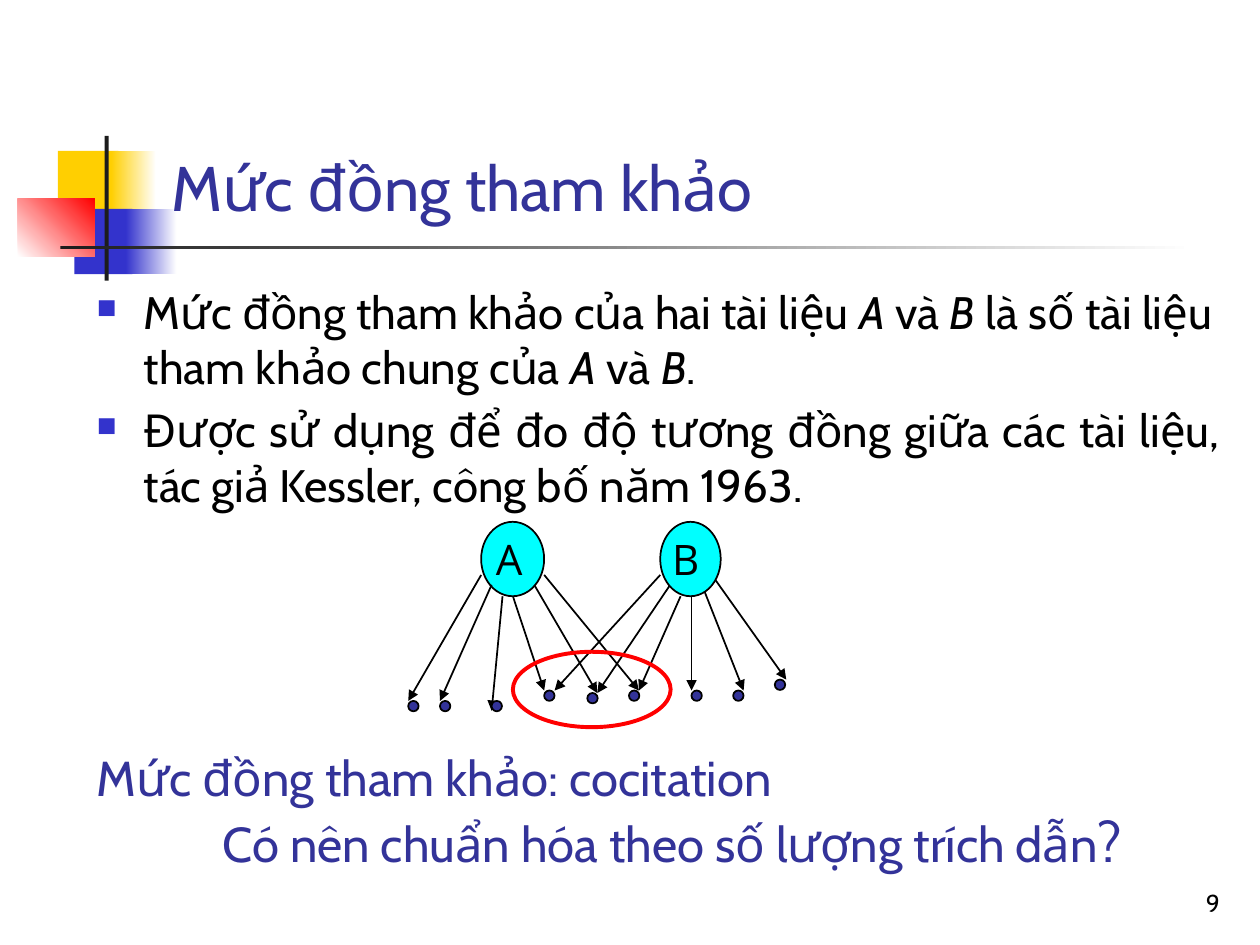
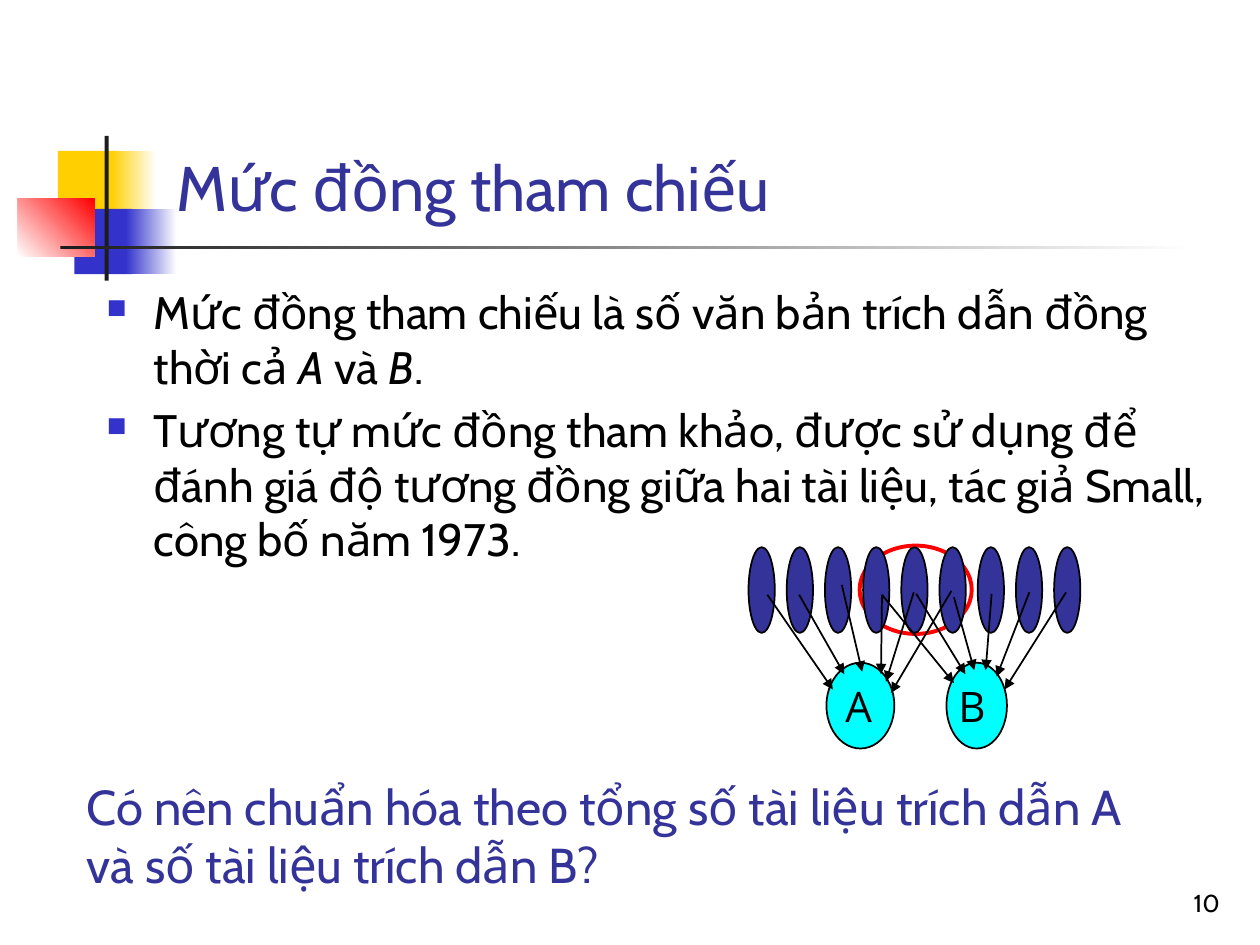
import pptx
import pptx.util
import pptx.dml.color
import pptx.enum.shapes
import pptx.enum.text
import pptx.oxml.ns
from lxml import etree

Cm, Pt = pptx.util.Cm, pptx.util.Pt
RGB = pptx.dml.color.RGBColor
SHAPE = pptx.enum.shapes.MSO_SHAPE
ALIGN = pptx.enum.text.PP_ALIGN
ANCHOR = pptx.enum.text.MSO_ANCHOR
qn = pptx.oxml.ns.qn

BLACK = RGB(0x00, 0x00, 0x00)
WHITE = RGB(0xFF, 0xFF, 0xFF)
INDIGO = RGB(0x33, 0x33, 0x99)
BLUE = RGB(0x33, 0x33, 0xCC)
YELLOW = RGB(0xFF, 0xCF, 0x01)
RED = RGB(0xFF, 0x00, 0x00)
CYAN = RGB(0x00, 0xFF, 0xFF)
CHARCOAL = RGB(0x1C, 0x1C, 0x1C)

TEXT_FONT = "Cabin"
NODE_FONT = "Open Sans"


# Basic parts
def add_shape(shapes, kind, box, fill=None, line=None, width=1):
    sp = shapes.add_shape(kind, *map(Cm, box))
    sp.shadow.inherit = False
    if fill is None:
        sp.fill.background()
    else:
        sp.fill.solid()
        sp.fill.fore_color.rgb = fill
    if line is None:
        sp.line.fill.background()
    else:
        sp.line.color.rgb = line
        sp.line.width = Pt(width)
    return sp


def add_fade(shapes, box, start, end, angle=0):
    sp = add_shape(shapes, SHAPE.RECTANGLE, box)
    sp.fill.gradient()
    sp.fill.gradient_angle = angle
    for stop, color in zip(sp.fill.gradient_stops, (start, end)):
        stop.color.rgb = color


def style(r, size, color, font=TEXT_FONT, italic=None):
    r.font.name = font
    r.font.size = Pt(size)
    r.font.color.rgb = color
    r.font.italic = italic


def add_text(slide, box, lines, size, color, anchor=ANCHOR.TOP, align=None):
    """Write one paragraph per line; stars enclose italic words."""
    tf = slide.shapes.add_textbox(*map(Cm, box)).text_frame
    tf.word_wrap = True
    tf.vertical_anchor = anchor
    for i, line in enumerate(lines):
        p = tf.add_paragraph() if i else tf.paragraphs[0]
        p.alignment = align
        for j, words in enumerate(line.split("*")):
            if words:
                r = p.add_run()
                r.text = words
                style(r, size, color, italic=j % 2 == 1)
    return tf


def add_arrow(shapes, x, y, start, end):
    (x1, y1), (x2, y2) = start, end
    line = shapes.add_connector(
        pptx.enum.shapes.MSO_CONNECTOR.STRAIGHT,
        Cm(x + x1), Cm(y + y1), Cm(x + x2), Cm(y + y2))
    line.line.color.rgb = BLACK
    line.line.width = Pt(1)
    etree.SubElement(line.line._get_or_add_ln(), qn("a:tailEnd"), type="triangle")
    etree.SubElement(line._element.spPr, qn("a:effectLst"))


def add_node(shapes, box, name):
    sp = add_shape(shapes, SHAPE.OVAL, box, CYAN, BLACK)
    tf = sp.text_frame
    tf.word_wrap = False
    tf.vertical_anchor = ANCHOR.MIDDLE
    p = tf.paragraphs[0]
    p.text = name
    p.alignment = ALIGN.RIGHT
    style(p.runs[0], 24, BLACK, NODE_FONT)


# Regions shared by the slides
def draw_emblem(slide, x, y):
    shapes = slide.shapes
    add_shape(shapes, SHAPE.RECTANGLE, (x + 0.81, y + 0.3, 1.22, 1.32), YELLOW)
    add_fade(shapes, (x + 1.88, y + 0.3, 0.91, 1.32), YELLOW, WHITE)
    add_shape(shapes, SHAPE.RECTANGLE, (x + 1.14, y + 1.47, 1.17, 1.32), BLUE)
    add_fade(shapes, (x + 2.18, y + 1.47, 1.02, 1.32), BLUE, WHITE)
    add_fade(shapes, (x, y + 1.27, 1.55, 1.17), WHITE, RED, 45)
    add_shape(shapes, SHAPE.RECTANGLE, (x + 1.75, y, 0.08, 2.92), CHARCOAL)
    add_fade(shapes, (x + 0.86, y + 2.21, 22.86, 0.08), CHARCOAL, WHITE)


def draw_bullets(slide, box, lines):
    tf = add_text(slide, box, lines, 26, BLACK)
    for i, p in enumerate(tf.paragraphs):
        pPr = p._p.get_or_add_pPr()
        pPr.set("marL", str(Cm(0.95)))
        pPr.set("indent", str(-Cm(0.95)))
        color = etree.SubElement(pPr, qn("a:buClr"))
        etree.SubElement(color, qn("a:srgbClr"), val=str(BLUE))
        etree.SubElement(pPr, qn("a:buSzPct"), val="60000")
        etree.SubElement(pPr, qn("a:buChar"), char="■")
        if i:
            p.space_before = Pt(5)
    return tf


def draw_frame(prs, title, title_left, number):
    slide = prs.slides.add_slide(prs.slide_layouts[6])
    draw_emblem(slide, 0.36, 2.74)
    add_text(slide, (19.56, 17.35, 5.28, 1.27), [number], 14, BLACK,
             ANCHOR.BOTTOM, ALIGN.RIGHT)
    add_text(slide, (title_left, 0.58, 24.85 - title_left, 4.06), [title], 36,
             INDIGO, ANCHOR.BOTTOM)
    return slide


# Diagrams
def draw_shared_references(slide, x, y):
    """Documents A and B point down at their references."""
    shapes = slide.shapes.add_group_shape().shapes
    arrows = [
        # from A
        ((1.47, 1.07), (0, 3.61)), ((1.68, 1.27), (0.64, 3.61)),
        ((1.9, 1.5), (1.68, 3.81)), ((2.11, 1.5), (2.74, 3.4)),
        ((2.54, 1.27), (3.81, 3.45)), ((2.74, 1.07), (4.65, 3.4)),
        # from B
        ((5.08, 1.07), (2.95, 3.4)), ((5.28, 1.27), (3.81, 3.45)),
        ((5.49, 1.5), (4.65, 3.4)), ((5.71, 1.5), (5.71, 3.4)),
        ((5.92, 1.27), (6.76, 3.4)), ((6.12, 1.07), (7.62, 3.18)),
    ]
    references = [(0, 3.61), (0.64, 3.61), (1.68, 3.61), (2.74, 3.4), (3.61, 3.45),
                  (4.45, 3.4), (5.71, 3.4), (6.55, 3.4), (7.39, 3.18)]
    add_node(shapes, (x + 1.47, y, 1.27, 1.5), "A")
    for start, end in arrows:
        add_arrow(shapes, x, y, start, end)
    add_shape(shapes, SHAPE.OVAL, (x + 2.11, y + 2.62, 3.18, 1.52), None, RED, 2.25)
    add_node(shapes, (x + 5.08, y, 1.22, 1.5), "B")
    for dx, dy in references:
        add_shape(shapes, SHAPE.OVAL, (x + dx, y + dy, 0.21, 0.21), INDIGO, BLACK)


def draw_shared_citations(slide, x, y):
    """A row of citing documents points down at A and B."""
    shapes = slide.shapes.add_group_shape().shapes
    arrows = [
        # to A
        ((0.38, 0.99), (1.7, 2.9)), ((1.02, 0.99), (1.93, 2.59)),
        ((1.88, 0.79), (2.29, 2.54)), ((2.69, 0.99), (2.67, 2.59)),
        ((3.33, 0.94), (2.77, 2.74)), ((4.09, 0.91), (2.87, 2.97)),
        # to B
        ((2.69, 0.99), (4.14, 2.77)), ((3.38, 0.97), (4.37, 2.59)),
        ((4.14, 1.04), (4.55, 2.51)), ((4.9, 0.97), (4.78, 2.51)),
        ((5.66, 0.94), (5, 2.64)), ((6.4, 0.94), (5.16, 2.9)),
    ]
    add_node(shapes, (x + 1.57, y + 2.36, 1.37, 1.73), "A")
    add_node(shapes, (x + 3.99, y + 2.36, 1.22, 1.73), "B")
    add_shape(shapes, SHAPE.OVAL, (x + 2.24, y, 2.26, 1.78), None, RED, 2.25)
    for i in range(9):
        add_shape(shapes, SHAPE.OVAL, (x + 0.77 * i, y + 0.03, 0.53, 1.73),
                  INDIGO, BLACK)
    for start, end in arrows:
        add_arrow(shapes, x, y, start, end)


# Slides
def coupling_slide(prs):
    slide = draw_frame(prs, "Mức đồng tham khảo", 3.2, "9")
    tf = draw_bullets(slide, (1.7, 5.61, 23.16, 5.13), [
        "Mức đồng tham khảo của hai tài liệu *A *và *B* là số tài liệu "
        "tham khảo chung của *A* và *B*.",
        "Được sử dụng để đo độ tương đồng giữa các tài liệu, "
        "tác giả Kessler, công bố năm 1963.",
    ])
    tf.paragraphs[1].alignment = ALIGN.JUSTIFY
    draw_shared_references(slide, 8.23, 10.52)
    tf = add_text(slide, (1.7, 14.94, 23.14, 2.82), [
        "Mức đồng tham khảo: cocitation",
        "Có nên chuẩn hóa theo số lượng trích dẫn",
    ], 28, INDIGO)
    question = tf.paragraphs[1]
    question._p.get_or_add_pPr().set("marL", str(Cm(2.54)))
    r = question.add_run()
    r.text = "?"
    style(r, 32, INDIGO)


def cocitation_slide(prs):
    slide = draw_frame(prs, "Mức đồng tham chiếu", 3.3, "10")
    draw_bullets(slide, (1.9, 5.61, 22.99, 4.85), [
        "Mức đồng tham chiếu là số văn bản trích dẫn đồng thời cả *A* và *B*.",
        "Tương tự mức đồng tham khảo, được sử dụng để đánh giá độ tương đồng "
        "giữa hai tài liệu, tác giả Small, công bố năm 1973.",
    ])
    draw_shared_citations(slide, 15.09, 11)
    add_text(slide, (1.5, 15.52, 22.4, 2.64), [
        "Có nên chuẩn hóa theo tổng số tài liệu trích dẫn A "
        "và số tài liệu trích dẫn B?",
    ], 28, INDIGO)


def main():
    prs = pptx.Presentation()
    prs.slide_width, prs.slide_height = Cm(25.4), Cm(19.05)
    coupling_slide(prs)
    cocitation_slide(prs)
    prs.save("out.pptx")


if __name__ == "__main__":
    main()
